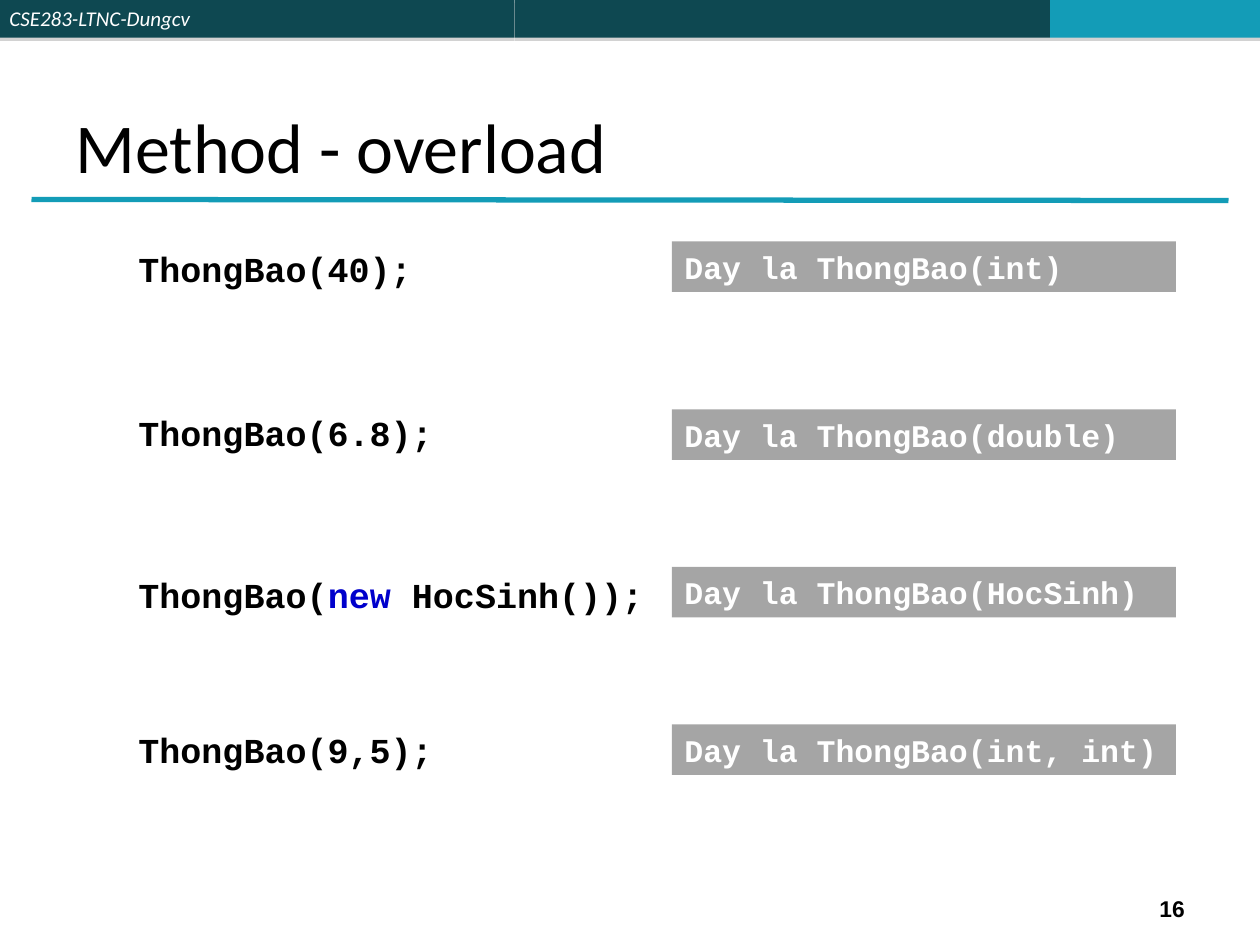
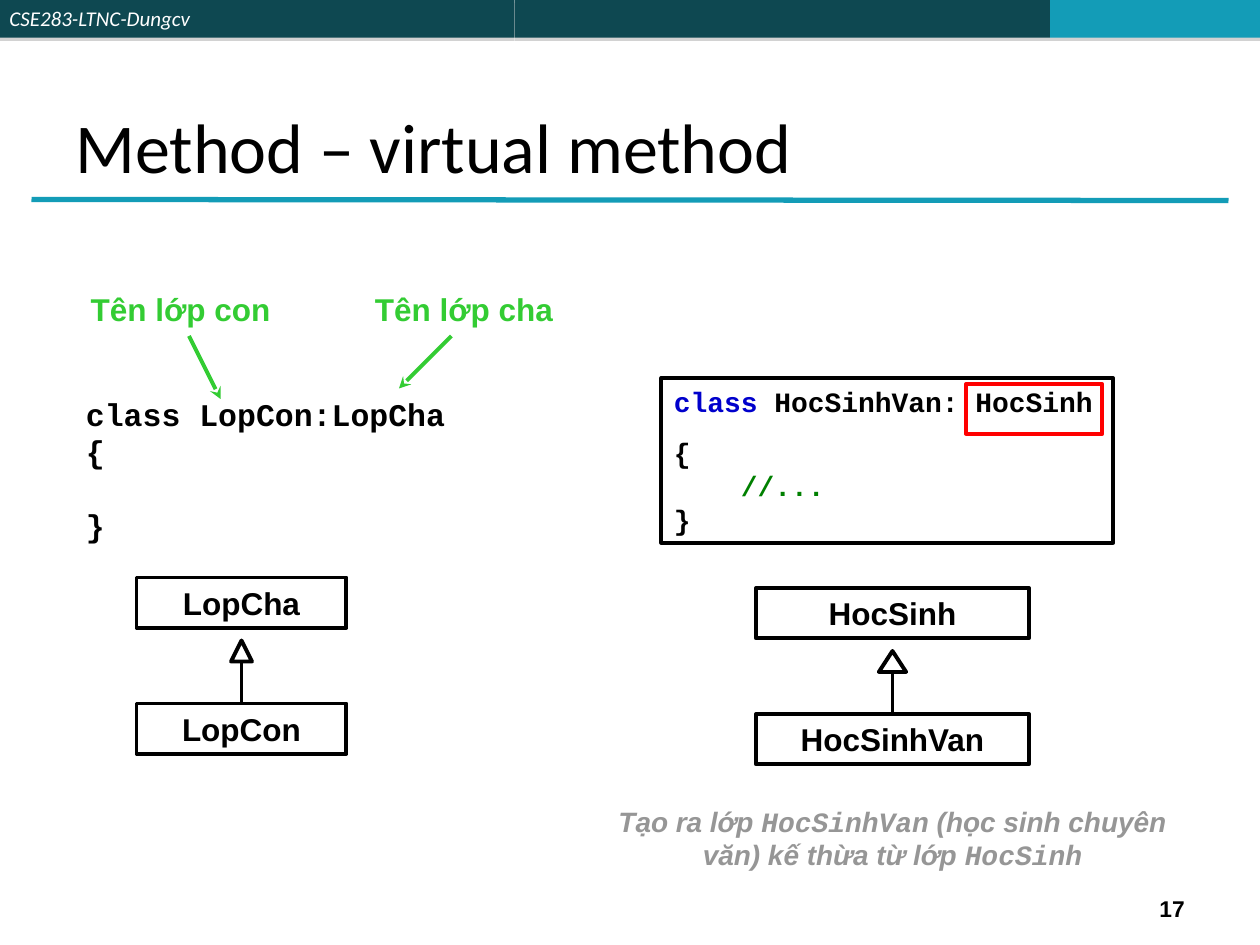
from lxml import etree
from pptx import Presentation
from pptx import util as u
from pptx.dml.color import RGBColor
from pptx.enum import shapes, text
from pptx.oxml import ns

PX = 7620  # EMU per px, 120 px to the inch
COLORS = {
    "band": "0E4851", "accent": "139CB7", "shadow": "808080",
    "white": "FFFFFF", "black": "000000", "gray": "808080", "note": "969696",
    "keyword": "0000CC", "comment": "008000", "callout": "33CC33", "highlight": "FF0000",
}
CODE, SANS, HEADING = "Courier New", "Arial", "Calibri"
LEFT, CENTER, RIGHT = text.PP_ALIGN.LEFT, text.PP_ALIGN.CENTER, text.PP_ALIGN.RIGHT
TOP, MIDDLE = text.MSO_ANCHOR.TOP, text.MSO_ANCHOR.MIDDLE
RECT, TRIANGLE = shapes.MSO_SHAPE.RECTANGLE, shapes.MSO_SHAPE.ISOSCELES_TRIANGLE


def px(*lengths):
    return [u.Emu(length * PX) for length in lengths]


def rgb(name):
    return RGBColor.from_string(COLORS[name])


def sub(parent, tag, **attributes):
    return etree.SubElement(parent, ns.qn(tag), **attributes)


def set_alpha(color_element, percent):
    sub(color_element, "a:alpha", val=str(percent * 1000))


def write(shape, paragraphs, size, font=SANS, color="black", bold=True, italic=False,
          align=LEFT, anchor=TOP, wrap=True, gaps=()):
    """Fill a shape with paragraphs of (text, changes) runs; gaps are points above each."""
    frame = shape.text_frame
    frame.word_wrap = wrap
    frame.vertical_anchor = anchor
    for index, runs in enumerate(paragraphs):
        paragraph = frame.add_paragraph() if index else frame.paragraphs[0]
        paragraph.alignment = align
        if gaps and gaps[index]:
            paragraph.space_before = u.Pt(gaps[index])
        for content, changes in runs:
            if content == "\n":
                paragraph.add_line_break()
                continue
            run = paragraph.add_run()
            run.text = content
            run.font.name = changes.get("font", font)
            run.font.size = u.Pt(size)
            run.font.bold, run.font.italic = bold, italic
            run.font.color.rgb = rgb(changes.get("color", color))


def plain(*lines):
    return [[(line, {})] for line in lines]


def add_text(slide, at, paragraphs, size, **style):
    write(slide.shapes.add_textbox(*px(*at)), paragraphs, size, **style)


def add_box(slide, at, fill=None, line=None, kind=RECT):
    box = slide.shapes.add_shape(kind, *px(*at))
    box.shadow.inherit = False
    if fill:
        box.fill.solid()
        box.fill.fore_color.rgb = rgb(fill)
    else:
        box.fill.background()
    if line:
        box.line.color.rgb = rgb(line)
        box.line.width = u.Pt(2.25)
    else:
        box.line.fill.background()
    return box


def add_line(slide, start, end, color, width=2.25, arrow=False):
    line = slide.shapes.add_connector(shapes.MSO_CONNECTOR.STRAIGHT, *px(*start, *end))
    line.line.color.rgb = rgb(color)
    line.line.width = u.Pt(width)
    if arrow:
        sub(line.line._get_or_add_ln(), "a:tailEnd", type="stealth")
    sub(line._element.spPr, "a:effectLst")
    return line


def add_band(slide, left, width, fill):
    """Header band with a thin shadow below it."""
    band = add_box(slide, (left, 0, width, 36), fill)
    effects = band._element.spPr.find(ns.qn("a:effectLst"))
    shadow = sub(effects, "a:outerShdw", blurRad="0", dist=str(u.Pt(1.8)),
                 dir="5400000", algn="ctr", rotWithShape="0")
    set_alpha(sub(shadow, "a:srgbClr", val=COLORS["shadow"]), 35)
    return band


def start_slide(prs, title, number):
    slide = prs.slides.add_slide(prs.slide_layouts[5])
    course = add_band(slide, 0, 490, "band")
    add_band(slide, 490, 510, "band")
    add_band(slide, 1000, 200, "accent")
    frame = course.text_frame
    frame.margin_left, frame.margin_top, frame.margin_right, frame.margin_bottom = px(9, 5, 9, 5)
    write(course, plain("CSE283-LTNC-Dungcv"), 12, HEADING, "white", bold=False, italic=True)
    add_line(slide, (30, 190), (1170, 191), "accent", 3)
    heading = slide.shapes.title
    heading.left, heading.top, heading.width, heading.height = px(60, 13, 1079, 172)
    write(heading, plain(title), 40, HEADING, bold=False, anchor=text.MSO_ANCHOR.BOTTOM)
    add_text(slide, (860, 847, 280, 36), plain(str(number)), 13, align=RIGHT, anchor=MIDDLE)
    return slide


def add_call(slide, top, runs, output_top, output):
    """A method call and, beside it, the line that it prints."""
    call = add_box(slide, (120, top, 520, 53), "white")
    write(call, [runs], 20, CODE, wrap=False)
    result = add_box(slide, (640, output_top, 480, 48), "gray")
    set_alpha(result._element.spPr.find(ns.qn("a:solidFill"))[0], 70)
    write(result, plain(output), 18, CODE, "white")


def add_callout(slide, label_at, label, start, end):
    add_text(slide, label_at, plain(label), 18, color="callout", align=CENTER, wrap=False)
    add_line(slide, start, end, "callout", arrow=True)


def add_inheritance(slide, left, top, width, parent, child, head_width):
    """Parent class above child class, joined by a hollow-headed arrow."""
    middle = left + width // 2
    for class_name, class_top in ((parent, top), (child, top + 120)):
        class_box = add_box(slide, (left, class_top, width, 48), line="black")
        write(class_box, plain(class_name), 18, align=CENTER)
    add_box(slide, (middle - head_width // 2, top + 60, head_width, 20),
            line="black", kind=TRIANGLE)
    stem = add_line(slide, (middle, top + 80), (middle, top + 120), "black")
    stem.end_connect(class_box, 0)


def build_overload(prs):
    slide = start_slide(prs, "Method - overload", 16)
    new_student = [("ThongBao(", {}), ("new", {"color": "keyword"}), (" HocSinh());", {})]
    calls = [
        (230, [("ThongBao(40);", {})], 230, "int"),
        (386, [("ThongBao(6.8);", {})], 390, "double"),
        (540, new_student, 540, "HocSinh"),
        (688, [("ThongBao(9,5);", {})], 690, "int, int"),
    ]
    for top, runs, output_top, parameters in calls:
        add_call(slide, top, runs, output_top, f"Day la ThongBao({parameters})")


def build_virtual_method(prs):
    slide = start_slide(prs, "Method – virtual method", 17)
    add_text(slide, (70, 370, 366, 156), plain("class LopCon:LopCha", "{", "}"), 18,
             font=CODE, wrap=False, gaps=(0, 0, 20.4))
    add_callout(slide, (74, 270, 196, 48), "Tên lớp con", (180, 320), (210, 380))
    add_callout(slide, (345, 270, 194, 48), "Tên lớp cha", (430, 320), (380, 370))

    example = add_box(slide, (630, 360, 430, 157), "white", "black")
    write(example, [
        [("class", {"color": "keyword"}), (" HocSinhVan: HocSinh", {})],
        [("{", {}), ("\n", {}), ("    ", {}), ("//...", {"color": "comment"}),
         ("\n", {}), ("}", {})],
    ], 16, CODE, gaps=(0, 10))
    add_box(slide, (920, 366, 130, 47), line="highlight")

    code = {"font": CODE}
    add_text(slide, (550, 760, 600, 77), [[
        ("Tạo ra lớp ", {}), ("HocSinhVan", code),
        (" (học sinh chuyên văn) kế thừa từ lớp ", {}), ("HocSinh", code),
    ]], 16, color="note", italic=True, align=CENTER)
    add_inheritance(slide, 130, 550, 200, "LopCha", "LopCon", 20)
    add_inheritance(slide, 720, 560, 260, "HocSinh", "HocSinhVan", 26)


def main():
    prs = Presentation()
    prs.slide_width, prs.slide_height = px(1200, 900)
    build_overload(prs)
    build_virtual_method(prs)
    prs.save("out.pptx")


if __name__ == "__main__":
    main()
